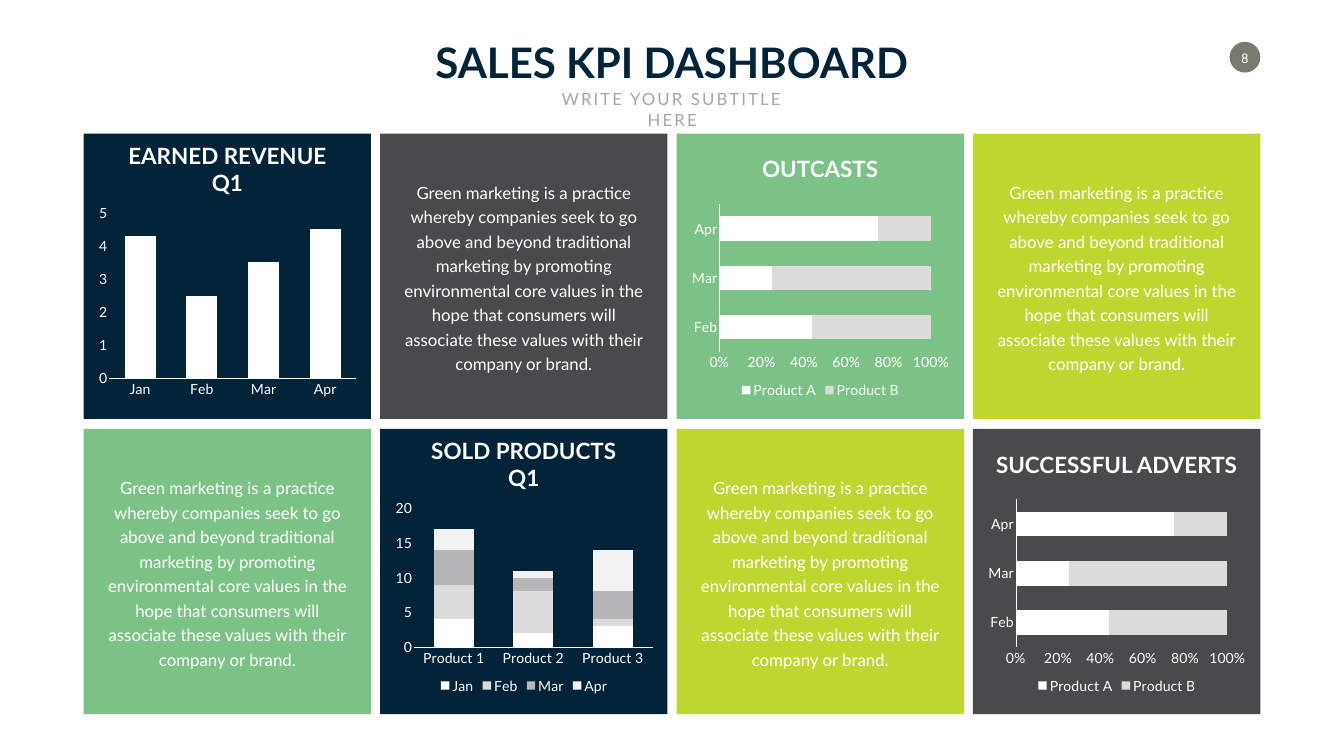
"""Build the sales KPI dashboard slide with its grid of charts and texts."""
from pptx import Presentation
from pptx.chart.data import CategoryChartData
from pptx.dml.color import RGBColor
from pptx.enum.chart import XL_CHART_TYPE as CT, XL_LEGEND_POSITION as LP, XL_TICK_MARK as TM
from pptx.enum.shapes import MSO_SHAPE as SHAPE
from pptx.enum.text import MSO_ANCHOR as ANCHOR, PP_ALIGN as ALIGN
from pptx.util import Inches, Pt

NAVY = RGBColor(0x02, 0x23, 0x38)
CHARCOAL = RGBColor(0x4A, 0x4A, 0x4C)
GREEN = RGBColor(0x7C, 0xC2, 0x87)
LIME = RGBColor(0xBE, 0xD6, 0x2F)
OLIVE = RGBColor(0x76, 0x7B, 0x6C)
WHITE = RGBColor(0xFF, 0xFF, 0xFF)
PALE = RGBColor(0xF2, 0xF2, 0xF2)
SILVER = RGBColor(0xDB, 0xDB, 0xDB)
GRAY = RGBColor(0xB6, 0xB6, 0xB8)
MUTED = RGBColor(0xA6, 0xA6, 0xA6)

LEFT, TOP = 1.66, 2.65
TILE_W, TILE_H = 5.7, 5.66
STEP_X, STEP_Y = 5.88, 5.86

BODY = ("Green marketing is a practice whereby companies seek to go above and beyond "
        "traditional marketing by promoting environmental core values in the hope that "
        "consumers will associate these values with their company or brand.")

REVENUE = dict(kind=CT.COLUMN_CLUSTERED, cats=["Jan", "Feb", "Mar", "Apr"],
               series=[("Series 1", [4.3, 2.5, 3.5, 4.5], WHITE)],
               scale=dict(minimum_scale=0, maximum_scale=5, major_unit=1),
               overlap=-27, legend=False)
SOLD = dict(kind=CT.COLUMN_STACKED, cats=["Product 1", "Product 2", "Product 3"],
            series=[("Jan", [4, 2, 3], WHITE), ("Feb", [5, 6, 1], SILVER),
                    ("Mar", [5, 2, 4], GRAY), ("Apr", [3, 1, 6], PALE)],
            scale=dict(minimum_scale=0, maximum_scale=20, major_unit=5))
SHARES = dict(kind=CT.BAR_STACKED_100, cats=["Feb", "Mar", "Apr"],
              series=[("Product A", [44, 25, 75], WHITE),
                      ("Product B", [56, 75, 25], SILVER)],
              scale=dict(minimum_scale=0, maximum_scale=1, major_unit=0.2),
              number_format="0%")

TILES = [
    [(NAVY, "EARNED REVENUE Q1", 4.69, REVENUE), (CHARCOAL,),
     (GREEN, "OUTCASTS", 2.62, SHARES), (LIME,)],
    [(GREEN,), (NAVY, "SOLD PRODUCTS Q1", 4.53, SOLD),
     (LIME,), (CHARCOAL, "SUCCESSFUL ADVERTS", 5.2, SHARES)],
]


class Deck:
    """Hold the text style and the current slide, and add elements to it."""

    def __init__(self, slide, font="Lato", color=WHITE):
        self.s = slide
        self.fmt = dict(name=font, size=24, color=color, bold=False)

    def style(self, font, **changes):
        """Apply the deck's text format, with changes, to a font."""
        fmt = {**self.fmt, **changes}
        font.color.rgb = fmt.pop("color")
        fmt["size"] = Pt(fmt["size"])
        for name, value in fmt.items():
            setattr(font, name, value)

    def shape(self, kind, x, y, w, h, color):
        """Add a flat filled shape."""
        sp = self.s.shapes.add_shape(kind, Inches(x), Inches(y), Inches(w), Inches(h))
        sp.shadow.inherit = False
        sp.fill.solid()
        sp.fill.fore_color.rgb = color
        sp.line.fill.background()

    def text(self, text, x, y, w, h, anchor=ANCHOR.MIDDLE, line=None, spacing=0,
             margin=None, **fmt):
        """Add a centred text box."""
        sp = self.s.shapes.add_textbox(Inches(x), Inches(y), Inches(w), Inches(h))
        tf = sp.text_frame
        tf.word_wrap = True
        tf.vertical_anchor = anchor
        if margin is not None:
            for side in ("left", "right", "top", "bottom"):
                setattr(tf, f"margin_{side}", Inches(margin))
        p = tf.paragraphs[0]
        p.alignment = ALIGN.CENTER
        if line:
            p.line_spacing = Pt(line)
        r = p.add_run()
        r.text = text
        self.style(r.font, **fmt)
        if spacing:
            r.font._element.set("spc", str(spacing * 100))

    def chart(self, x, y, w, h, kind, cats, series, scale, overlap=100, legend=True,
              number_format="General"):
        """Add a bar or column chart without gridlines."""
        data = CategoryChartData()
        data.categories = cats
        for name, values, _ in series:
            data.add_series(name, values)
        chart = self.s.shapes.add_chart(kind, Inches(x), Inches(y), Inches(w), Inches(h),
                                        data).chart
        self.style(chart.font, size=20)
        chart.has_title = False
        chart.has_legend = legend
        if legend:
            chart.legend.position = LP.BOTTOM
            chart.legend.include_in_layout = False
            self.style(chart.legend.font, size=20)
        plot = chart.plots[0]
        for name, value in dict(gap_width=100, overlap=overlap,
                                vary_by_categories=False).items():
            setattr(plot, name, value)
        for bars, (_, _, color) in zip(plot.series, series):
            bars.invert_if_negative = False
            bars.format.fill.solid()
            bars.format.fill.fore_color.rgb = color
        for axis in (chart.category_axis, chart.value_axis):
            axis.has_major_gridlines = False
            axis.major_tick_mark = axis.minor_tick_mark = TM.NONE
            self.style(axis.tick_labels.font, size=20)
        line = chart.category_axis.format.line
        line.color.rgb = WHITE
        line.width = Pt(0.75)
        axis = chart.value_axis
        axis.format.line.fill.background()
        axis.tick_labels.number_format = number_format
        axis.tick_labels.number_format_is_linked = False
        for name, value in scale.items():
            setattr(axis, name, value)

    def tile(self, x, y, color, heading=None, width=0, chart=None):
        """Add a tile with a headed chart, or with the body text."""
        self.shape(SHAPE.RECTANGLE, x, y, TILE_W, TILE_H, color)
        if chart:
            self.chart(x + 0.2, y + 1.32, 5.31, 4, **chart)
            self.text(heading, x + (TILE_W - width) / 2, y + 0.38, width, 0.64,
                      size=32, bold=True)
        else:
            self.text(BODY, x + 0.38, y + 0.84, 4.94, 3.98, line=35)


def main():
    """Build and save the slide."""
    prs = Presentation()
    prs.slide_width, prs.slide_height = Inches(26.66), Inches(15)
    deck = Deck(prs.slides.add_slide(prs.slide_layouts[6]))
    deck.shape(SHAPE.OVAL, 24.39, 0.83, 0.61, 0.61, OLIVE)
    deck.text("8", 24.49, 0.97, 0.41, 0.34, margin=0, size=20, name="Calibri")
    deck.text("SALES KPI DASHBOARD", 8.43, 0.67, 9.79, 1.11, anchor=ANCHOR.TOP,
              size=60, color=NAVY, bold=True)
    deck.text("WRITE YOUR SUBTITLE HERE", 10.62, 1.72, 5.43, 0.5, anchor=ANCHOR.TOP,
              spacing=3, color=MUTED)
    for row, tiles in enumerate(TILES):
        for col, tile in enumerate(tiles):
            deck.tile(LEFT + col * STEP_X, TOP + row * STEP_Y, *tile)
    prs.save("out.pptx")


if __name__ == "__main__":
    main()
